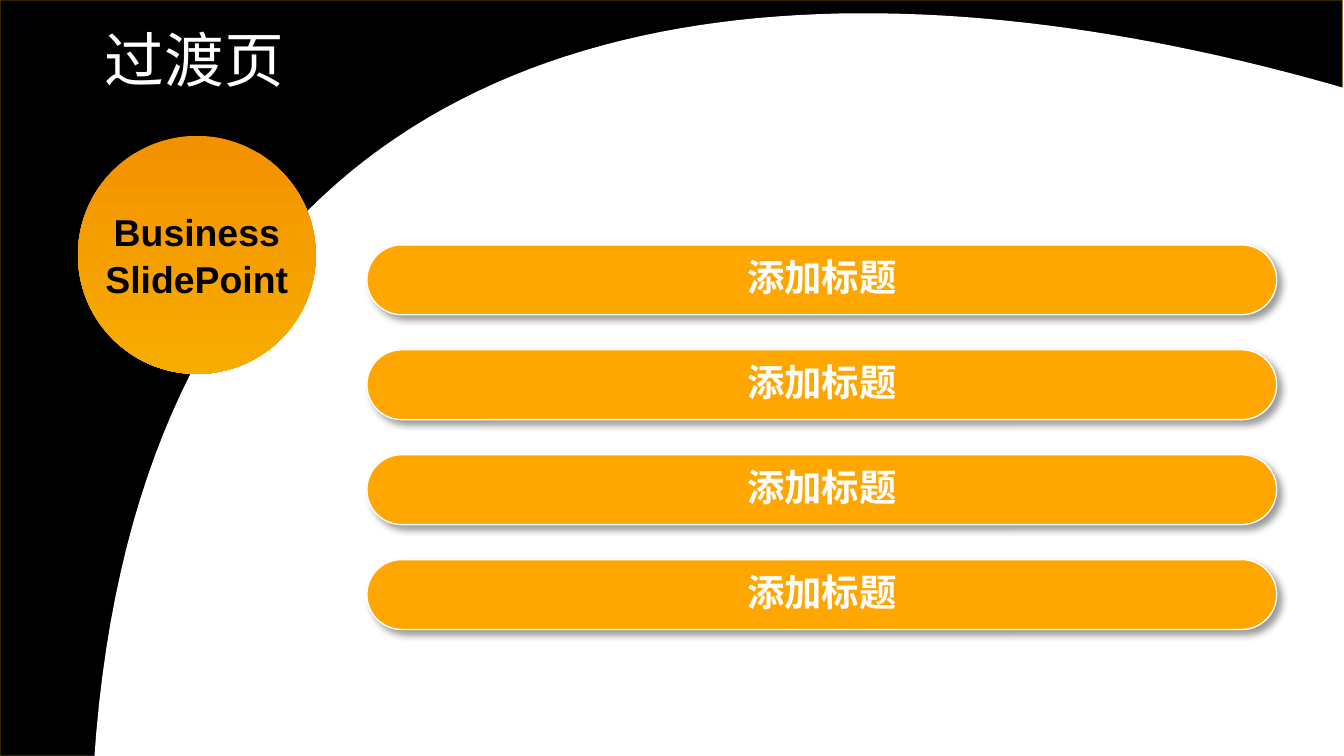
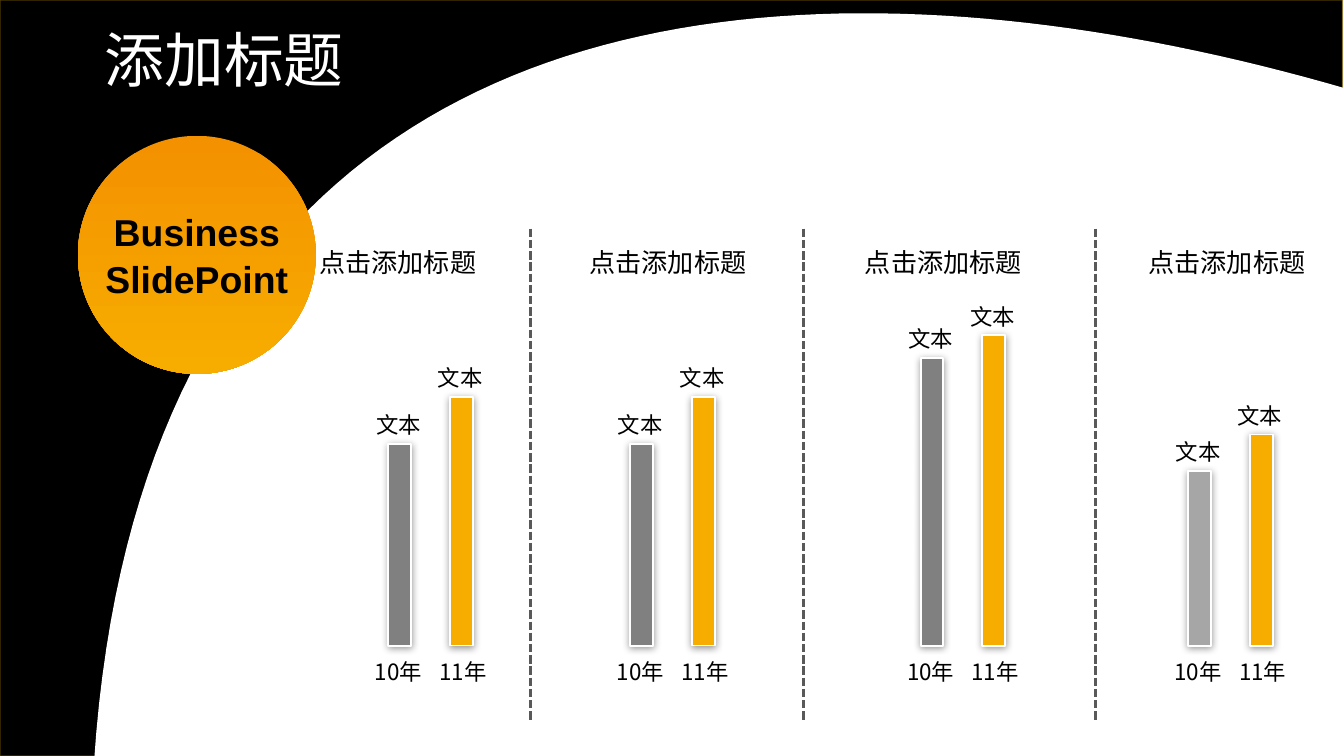
import dataclasses

import lxml.etree
import pptx
import pptx.dml.color
import pptx.enum.dml
import pptx.enum.shapes
import pptx.enum.text
import pptx.oxml.ns
import pptx.util

SLIDE_WIDTH = pptx.util.Emu(9144000)
SLIDE_HEIGHT = pptx.util.Emu(5140325)
COLUMNS, ROWS = 100, 56.2

BLACK, WHITE = "000000", "FFFFFF"
AMBER, ORANGE, GOLD = "F7AD00", "F49100", "FFA700"
EDGE, DIVIDER = "FFC000", "595959"
GREY, LIGHT_GREY = "808080", "A6A6A6"
CJK, LATIN = "Noto Sans CJK SC", "Arial"

CENTER = pptx.enum.text.PP_ALIGN.CENTER
LEFT = pptx.enum.text.PP_ALIGN.LEFT
MIDDLE = pptx.enum.text.MSO_ANCHOR.MIDDLE
TOP = pptx.enum.text.MSO_ANCHOR.TOP
SHAPES = pptx.enum.shapes.MSO_SHAPE


@dataclasses.dataclass
class Box:
    """A rectangle measured in grid columns and rows."""
    left: float
    top: float
    width: float
    height: float

    def inside(self, left, top, width, height):
        """Return a box offset from this one's corner."""
        return Box(self.left + left, self.top + top, width, height)

    def emu(self):
        """Return left, top, width and height as slide lengths."""
        return (across(self.left), down(self.top),
                across(self.width), down(self.height))


def across(columns):
    """Turn grid columns into a slide length."""
    return round(SLIDE_WIDTH * columns / COLUMNS)


def down(rows):
    """Turn grid rows into a slide length."""
    return round(SLIDE_HEIGHT * rows / ROWS)


def rgb(color):
    """Turn a hex string into a colour."""
    return pptx.dml.color.RGBColor.from_string(color)


def add_child(parent, tag, **attributes):
    """Append a drawing element and return it."""
    return lxml.etree.SubElement(parent, pptx.oxml.ns.qn(tag), attributes)


def add_alpha(parent, percent):
    """Make the colour element partly transparent."""
    add_child(parent, "a:alpha", val=str(percent * 1000))


def cast_shadow(shape, distance, angle):
    """Give a shape a soft black shadow."""
    effects = shape._element.spPr.find(pptx.oxml.ns.qn("a:effectLst"))
    shadow = add_child(effects, "a:outerShdw", blurRad=str(pptx.util.Pt(4)),
                       dist=str(pptx.util.Pt(distance)),
                       dir=str(angle * 60000), algn="ctr", rotWithShape="0")
    add_alpha(add_child(shadow, "a:srgbClr", val=BLACK), 40)


def style(shape, fill=None, line=None, width=0.75):
    """Set fill and outline and drop the theme shadow."""
    if fill:
        shape.fill.solid()
        shape.fill.fore_color.rgb = rgb(fill)
    if line:
        shape.line.color.rgb = rgb(line)
        shape.line.width = pptx.util.Pt(width)
    else:
        shape.line.fill.background()
    shape.shadow.inherit = False


def add_text(shapes, box, lines, size, color=BLACK, font=CJK, bold=False,
             align=CENTER, anchor=TOP, wrap=True, spacing=None):
    """Write lines of text in a box that grows with them."""
    frame = shapes.add_textbox(*box.emu()).text_frame
    frame.word_wrap = wrap
    frame.auto_size = pptx.enum.text.MSO_AUTO_SIZE.SHAPE_TO_FIT_TEXT
    frame.vertical_anchor = anchor
    frame.text = "\n".join(lines)
    for paragraph in frame.paragraphs:
        paragraph.alignment = align
        if spacing:
            paragraph.line_spacing = pptx.util.Pt(spacing)
        paragraph.font.size = pptx.util.Pt(size)
        paragraph.font.bold = bold
        paragraph.font.color.rgb = rgb(color)
        paragraph.font.name = font
        defaults = paragraph._p.pPr.find(pptx.oxml.ns.qn("a:defRPr"))
        add_child(defaults, "a:ea", typeface=font)


def bezier(start, first, second, end, steps=80):
    """Return points along a cubic curve."""
    points = []
    for step in range(steps + 1):
        t = step / steps
        weights = ((1 - t) ** 3, 3 * t * (1 - t) ** 2,
                   3 * t ** 2 * (1 - t), t ** 3)
        points.append(tuple(sum(w * p for w, p in zip(weights, axis))
                            for axis in zip(start, first, second, end)))
    return points


def draw_backdrop(shapes, box):
    """Draw the black field and the white sweep over it."""
    field = shapes.add_shape(SHAPES.RECTANGLE, *box.emu())
    style(field, BLACK, EDGE)
    add_alpha(field.line._ln.find(".//" + pptx.oxml.ns.qn("a:srgbClr")), 30)

    arc = bezier((7, 56.6), (10.9, -1.9), (58.5, -5.5), (100.2, 6.6))
    outline = [(across(box.left + x), down(box.top + y))
               for x, y in arc + [(100.1, 56.3)]]
    builder = shapes.build_freeform(*outline[0])
    builder.add_line_segments(outline[1:], close=True)
    style(builder.convert_to_shape(), WHITE)


def draw_badge(shapes, box):
    """Draw the orange disc with its two-line caption."""
    disc = shapes.add_shape(SHAPES.OVAL, *box.emu())
    disc.fill.gradient()
    disc.fill.gradient_angle = 270
    for stop, color, position in zip(disc.fill.gradient_stops,
                                     (ORANGE, AMBER), (0, 1)):
        stop.color.rgb = rgb(color)
        stop.position = position
    style(disc)
    add_text(shapes, box.inside(0.15, 4.85, 17.4, 7.8),
             ["Business", "SlidePoint"], 20, font=LATIN, bold=True,
             wrap=False, spacing=25)


def start_slide(deck, title, title_width):
    """Add a slide with the shared backdrop, badge and title."""
    shapes = deck.slides.add_slide(deck.slide_layouts[6]).shapes
    draw_backdrop(shapes, Box(0, 0, 99.9, ROWS))
    draw_badge(shapes, Box(5.8, 10.1, 17.7, 17.7))
    add_text(shapes, Box(6.8, 1.2, title_width, 6.4), [title], 32, WHITE,
             align=LEFT, wrap=False)
    return shapes


def draw_agenda_item(shapes, box, heading):
    """Draw one rounded agenda bar with its heading."""
    group = shapes.add_group_shape().shapes
    pill = group.add_shape(SHAPES.ROUNDED_RECTANGLE, *box.emu())
    pill.adjustments[0] = 0.5
    style(pill, GOLD, WHITE)
    cast_shadow(pill, 3, 45)
    add_text(group, box.inside(13.4, 0.2, 40.9, 4.4), [heading], 20, WHITE,
             bold=True)


def draw_divider(shapes, column, top, bottom):
    """Draw a dashed vertical line between panels."""
    divider = shapes.add_connector(
        pptx.enum.shapes.MSO_CONNECTOR.STRAIGHT,
        across(column), down(top), across(column), down(bottom))
    divider.line.color.rgb = rgb(DIVIDER)
    divider.line.width = pptx.util.Pt(1.5)
    divider.line.dash_style = pptx.enum.dml.MSO_LINE.SQUARE_DOT
    add_child(divider._element.spPr, "a:effectLst")


def draw_panel(shapes, box, first_bar, heights, colors):
    """Draw a headed pair of yearly bars standing on the box's bottom."""
    group = shapes.add_group_shape().shapes
    add_text(group, box.inside(0, 0, box.width, 3.4), ["点击添加标题"], 14)
    bar_width, bar_step = 1.7, 4.6
    value_width, year_width, year_step = 8, 5.8, 4.8
    for index, year in enumerate(("10年", "11年")):
        left = first_bar + index * bar_step
        top = box.height - heights[index]
        middle = left + bar_width / 2
        add_text(group, box.inside(middle - value_width / 2 - 0.1, top - 2.9,
                                   value_width, 3),
                 ["文本"], 12, anchor=MIDDLE)
        add_text(group, box.inside(first_bar - 2.15 + index * year_step,
                                   box.height + 0.4, year_width, 3),
                 [year], 12, anchor=MIDDLE)
        bar = group.add_shape(
            SHAPES.RECTANGLE,
            *box.inside(left, top, bar_width, heights[index]).emu())
        style(bar, colors[index], WHITE, 1)
        cast_shadow(bar, 1, 90)


def build_agenda(deck):
    """Build the transition slide."""
    shapes = start_slide(deck, "过渡页", 15.5)
    for row in range(4):
        draw_agenda_item(shapes, Box(27.3, 18.2 + 7.8 * row, 67.7, 5.2),
                         "添加标题")


def build_comparison(deck):
    """Build the slide of four two-year comparisons."""
    shapes = start_slide(deck, "添加标题", 20)
    for column in (39.5, 59.8, 81.5):
        draw_divider(shapes, column, 17, 53.7)
    panels = [
        (19.7, 9.2, (15, 18.5), GREY),
        (39.8, 7.1, (15, 18.5), GREY),
        (60.3, 8.2, (21.4, 23.1), GREY),
        (81.4, 7, (13, 15.7), LIGHT_GREY),
    ]
    for left, first_bar, heights, first_color in panels:
        draw_panel(shapes, Box(left, 17.8, 19.8, 30.2), first_bar, heights,
                   (first_color, AMBER))


def main():
    """Build and save the deck."""
    deck = pptx.Presentation()
    deck.slide_width, deck.slide_height = SLIDE_WIDTH, SLIDE_HEIGHT
    build_agenda(deck)
    build_comparison(deck)
    deck.save("out.pptx")


if __name__ == "__main__":
    main()
